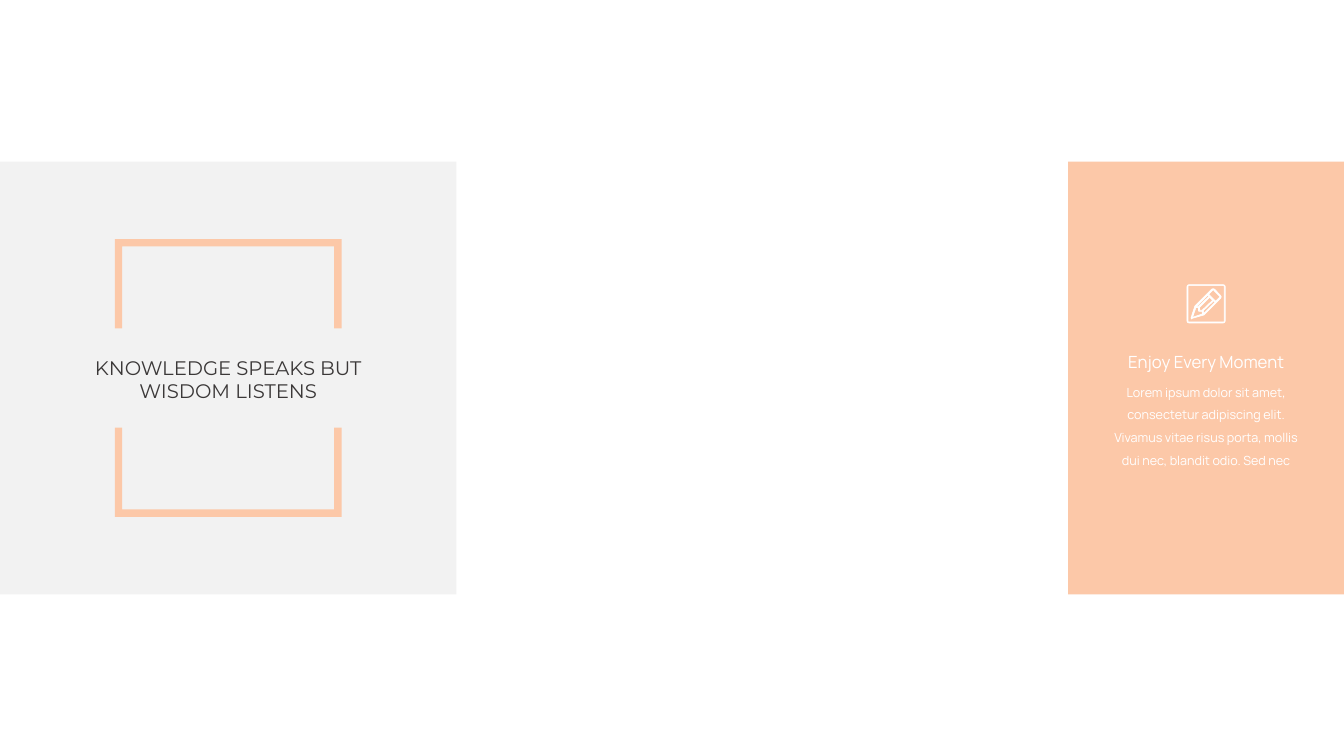
import pptx
import pptx.dml.color
import pptx.enum.shapes
import pptx.enum.text
import pptx.util

Pt = pptx.util.Pt
PEACH, GREY, WHITE, DARK = "FCC8A8", "F2F2F2", "FFFFFF", "3B3838"

PENCIL = [
    [(13, 32.4), (7.9, 46.8), (22.3, 41.8), (21.6, 38.2), (17.3, 38.2), (16.6, 37.4), (16.6, 33.1)],
    [(38.2, 23), (23, 37.4), (24.5, 41), (40.3, 25.2)],
    [(32.4, 18), (18, 32.4), (18, 36.7), (21.6, 36.7), (36.7, 22.3)],
    [(29.5, 15.1), (13.7, 31), (16.6, 31), (31.7, 16.6)],
    [(37.4, 7.2), (31, 13.7), (41, 23.8), (46.8, 18), (46.8, 16.6), (38.2, 7.9)],
    [(37.4, 5.8), (39.6, 6.5), (48.2, 15.8), (49, 17.3), (48.2, 19.4), (24.5, 43.2),
     (7.2, 48.2), (6.5, 49), (5.8, 47.5), (11.5, 30.2), (28.8, 13), (35.3, 6.5)],
]


def rgb(color):
    return pptx.dml.color.RGBColor.from_string(color)


def paint(sp, fill, line=None):
    sp.shadow.inherit = False
    sp.fill.solid()
    sp.fill.fore_color.rgb = rgb(fill)
    if line:
        sp.line.color.rgb = rgb(line)
        sp.line.width = Pt(1)
    else:
        sp.line.fill.background()


def add_panel(s, x, y, w, h, color):
    kind = pptx.enum.shapes.MSO_SHAPE.RECTANGLE
    paint(s.shapes.add_shape(kind, Pt(x), Pt(y), Pt(w), Pt(h)), color)


def add_outline(s, x, y, contours, fill, line=None):
    moved = [[(Pt(x + dx), Pt(y + dy)) for dx, dy in c] for c in contours]
    fb = s.shapes.build_freeform(*moved[0][0])
    for i, points in enumerate(moved):
        if i:
            fb.move_to(*points[0])
        fb.add_line_segments(points[1:], close=True)
    paint(fb.convert_to_shape(), fill, line)


def add_text(s, x, y, w, h, text, font, size, color, spacing=None):
    tf = s.shapes.add_textbox(Pt(x), Pt(y), Pt(w), Pt(h)).text_frame
    tf.word_wrap = True
    p = tf.paragraphs[0]
    p.alignment = pptx.enum.text.PP_ALIGN.CENTER
    if spacing:
        p.line_spacing = spacing
    r = p.add_run()
    r.text = text
    r.font.name = font
    r.font.size = Pt(size)
    r.font.color.rgb = rgb(color)


def rounded_square(inset, size, cut):
    a, b = inset, size - inset
    k = 0.3 * cut
    return [(a + cut, a), (b - cut, a), (b - k, a + k), (b, a + cut),
            (b, b - cut), (b - k, b - k), (b - cut, b), (a + cut, b),
            (a + k, b - k), (a, b - cut), (a, a + cut), (a + k, a + k)]


def quote_panel(s, x, y, w, h):
    add_panel(s, x, y, w, h, GREY)
    fw, fh, arm, t = 324, 396.8, 127.5, 10.5
    top = [(0, 0), (fw, 0), (fw, arm), (fw - t, arm), (fw - t, t), (t, t), (t, arm), (0, arm)]
    bottom = [(px, fh - py) for px, py in top]
    add_outline(s, x + (w - fw) / 2, y + (h - fh) / 2, [top, bottom], PEACH)
    tw = 429
    add_text(s, x + (w - tw) / 2, y + 273.5, tw, 75,
             "KNOWLEDGE SPEAKS BUT WISDOM LISTENS", "Montserrat", 28, DARK)


def note_panel(s, x, y, w, h):
    add_panel(s, x, y, w, h, PEACH)
    size = 54.7
    frame = [rounded_square(0, size, 2.9), rounded_square(1.4, size, 1)]
    add_outline(s, x + (w - size) / 2, y + 175.7, PENCIL + frame, WHITE, WHITE)
    for dy, tw, th, text, pt, spacing in [
        (268, 315.4, 36, "Enjoy Every Moment", 24, None),
        (304, 303, 138, "Lorem ipsum dolor sit amet, consectetur adipiscing elit. "
         "Vivamus vitae risus porta, mollis dui nec, blandit odio. Sed nec", 18, 1.5),
    ]:
        add_text(s, x + (w - tw) / 2, y + dy, tw, th, text, "Manrope", pt, WHITE, spacing)


prs = pptx.Presentation()
prs.slide_width, prs.slide_height = Pt(1920), Pt(1080)
s = prs.slides.add_slide(prs.slide_layouts[6])
quote_panel(s, 0, 231, 652, 618)
note_panel(s, 1526, 231, 394, 618)
prs.save("out.pptx")
